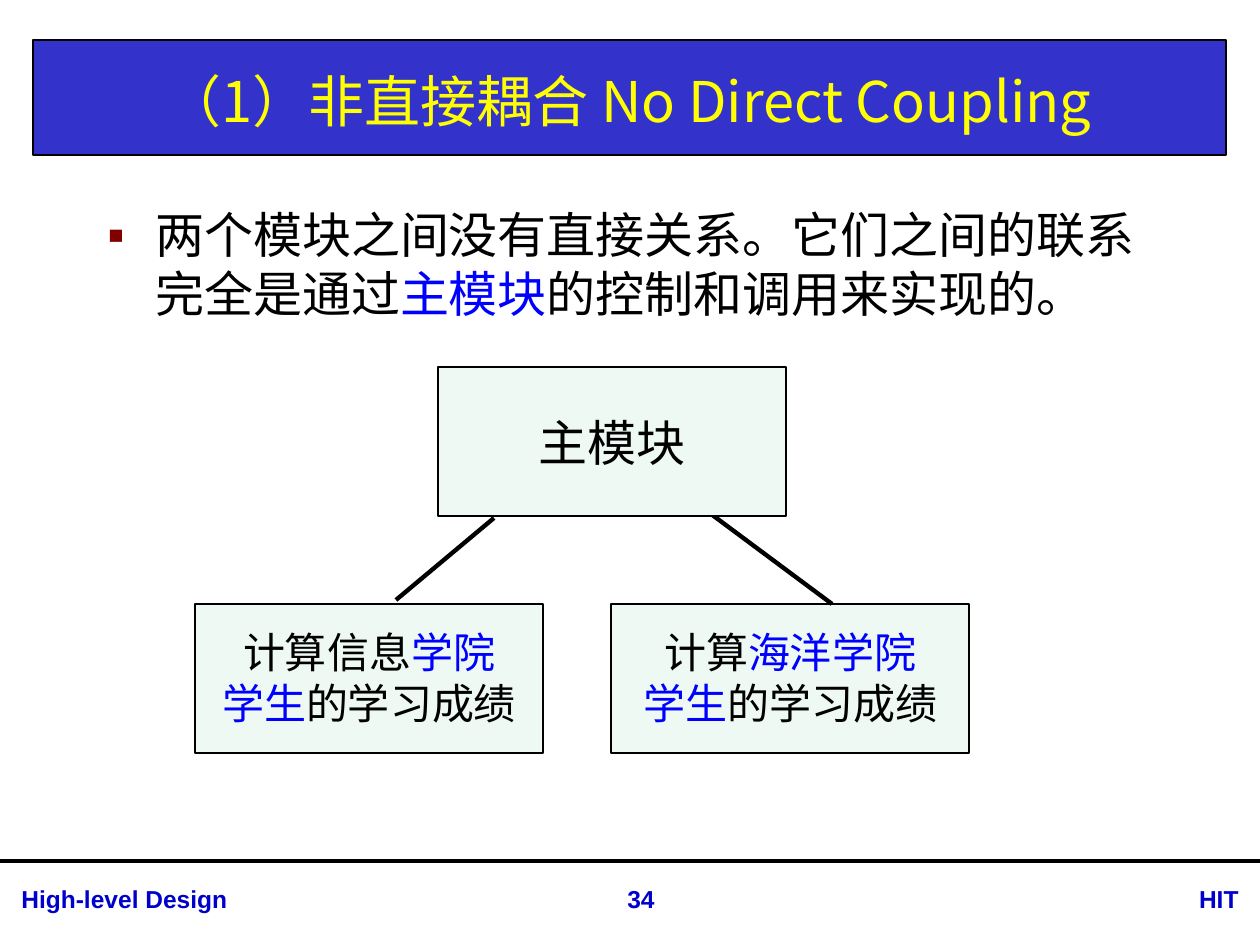
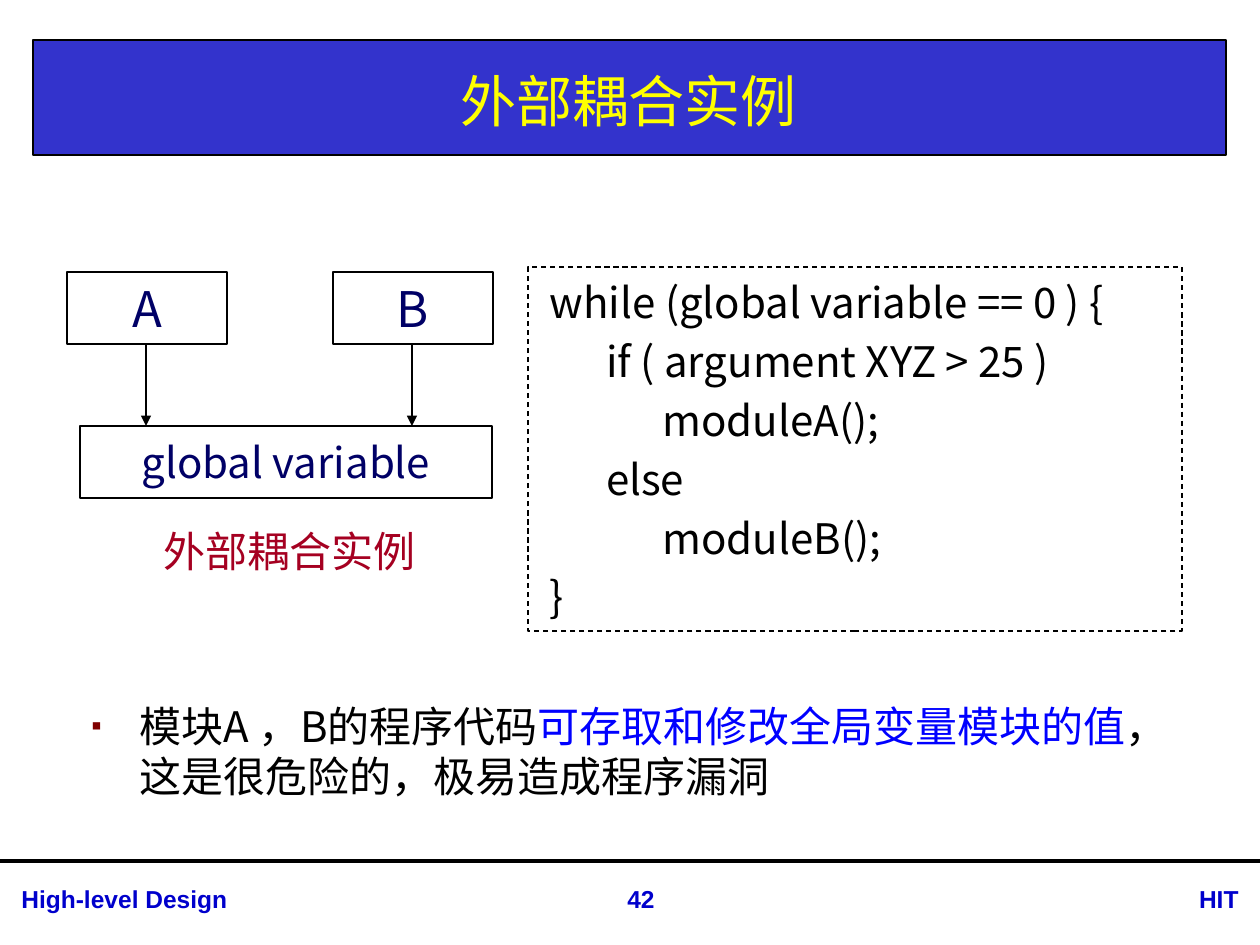
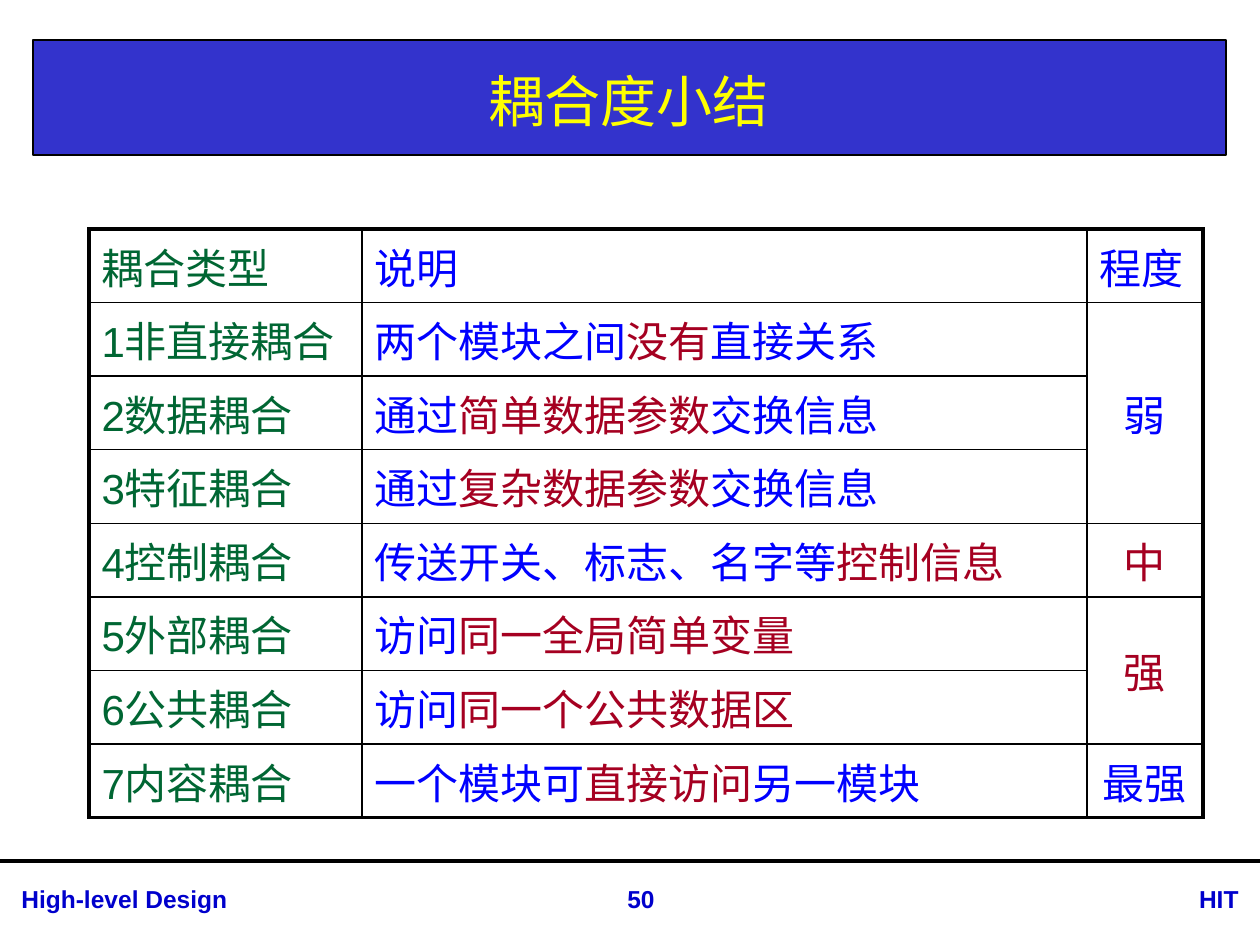
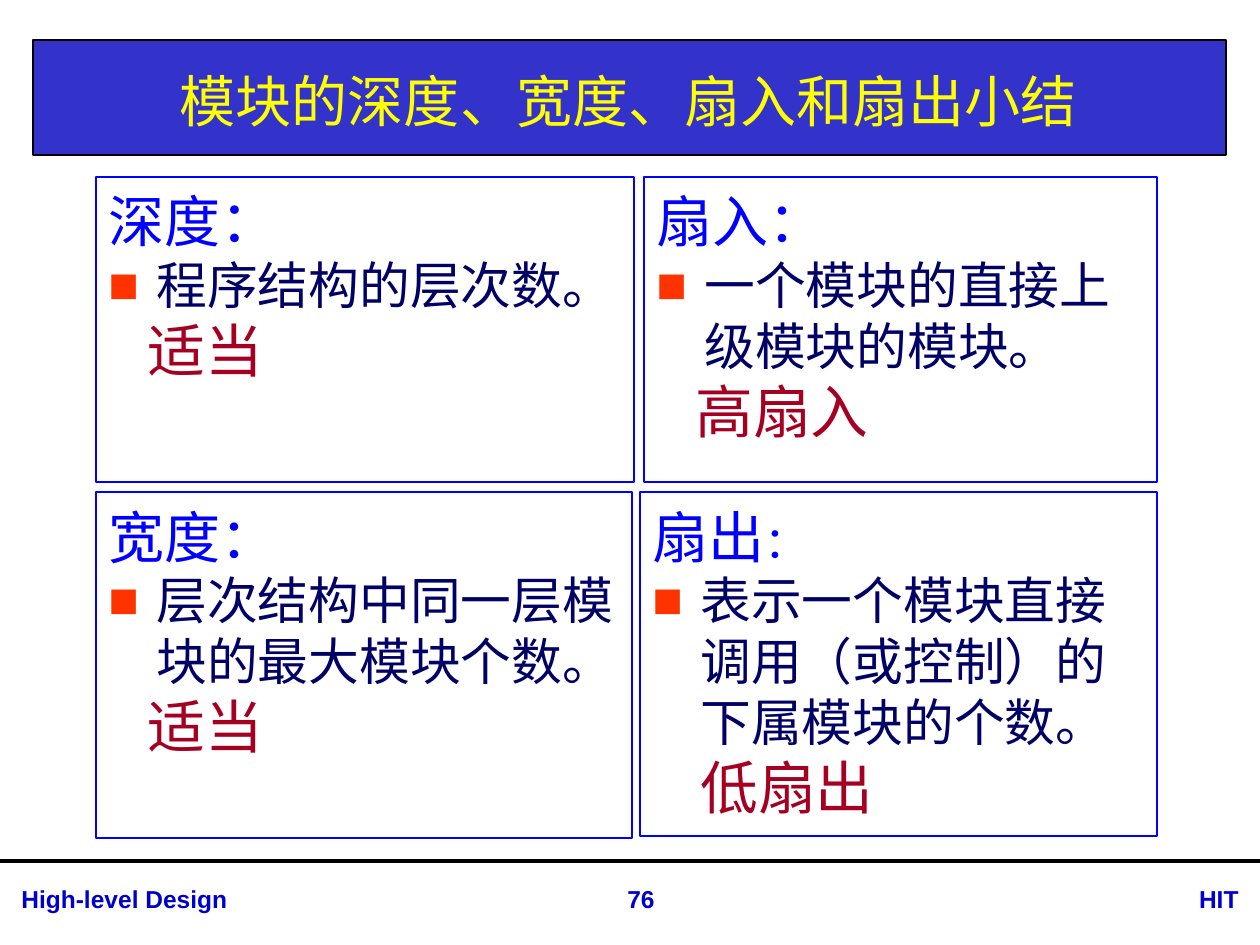
from dataclasses import dataclass, field

from lxml import etree
from pptx import Presentation
from pptx import util as u
from pptx.dml.color import RGBColor
from pptx.enum import dml, shapes, text
from pptx.oxml.ns import qn

PX = 914400 / 126
LEFT, CENTER, RIGHT = text.PP_ALIGN.LEFT, text.PP_ALIGN.CENTER, text.PP_ALIGN.RIGHT
TOP, MIDDLE = text.MSO_ANCHOR.TOP, text.MSO_ANCHOR.MIDDLE


def emu(px):
    return u.Emu(round(px * PX))


def child(parent, tag, **attributes):
    return etree.SubElement(parent, qn(tag), {k: str(v) for k, v in attributes.items()})


def set_format(target, **values):
    for name, value in values.items():
        setattr(target, name, value)


@dataclass(frozen=True)
class Theme:
    # colours
    black: str = "000000"
    band: str = "3333CC"
    title: str = "FFFF00"
    footer: str = "0000CC"
    blue: str = "0000FF"
    navy: str = "000066"
    red: str = "A50021"
    green: str = "006633"
    mint: str = "EEF9F4"
    small_bullet: str = "800000"
    block_bullet: str = "FF3300"
    # fonts and type sizes
    cjk: str = "Noto Sans CJK SC"
    latin: str = "Arial"
    title_size: int = 32
    lead_size: int = 28
    body_size: int = 24
    item_size: int = 29
    verdict_size: int = 33
    footer_size: int = 14
    # line widths and line pitch
    thin: float = 0.75
    inner: float = 1
    outer: float = 2.25
    link: float = 2.5
    pitch: float = 1.2


@dataclass
class Para:
    """Spans are (text, colour) or (text, colour, size)."""
    spans: list
    size: int
    font: str = Theme.cjk
    align: object = LEFT
    bold: bool = False
    margin: int = 0
    hanging: int = 0
    before: float = 0
    tight: bool = True
    bullet: dict = field(default_factory=dict)


class SlideMaker:
    def __init__(self, theme):
        self.theme = theme
        self.deck = Presentation()
        set_format(self.deck, slide_width=emu(1260), slide_height=emu(945))
        self.page = None

    # Shared frame: title band, rule and footers
    def start(self, title, number):
        t = self.theme
        self.page = self.deck.slides.add_slide(self.deck.slide_layouts[5])
        holder = self.page.shapes.title
        self.box((33, 40, 1193, 115), fill=t.band)
        self.line((0, 861), (1260, 861), t.outer)
        for left, width, words, align in (
            (9, 485, "High-level Design", LEFT),
            (1121, 130, "HIT", RIGHT),
            (576, 130, number, CENTER),
        ):
            self.label((left, 878, width, 43), [Para(
                [(words, t.footer)], t.footer_size, t.latin, align, bold=True, tight=False)])
        self.page.shapes.element.append(holder._element)
        self.place(holder, (33, 45, 1191, 110))
        self.fill_frame(holder.text_frame, [Para(
            [(title, t.title)], t.title_size, align=CENTER, tight=False)], MIDDLE)

    def place(self, shape, at):
        set_format(shape, **dict(zip(("left", "top", "width", "height"), map(emu, at))))

    def stroke(self, line, width, colour):
        line.color.rgb = RGBColor.from_string(colour)
        line.width = u.Pt(width)

    def box(self, at, paras=(), fill=None, line=Theme.black, width=Theme.thin,
            anchor=MIDDLE, dashed=False):
        shape = self.page.shapes.add_shape(shapes.MSO_SHAPE.RECTANGLE, *map(emu, at))
        shape.shadow.inherit = False
        if fill:
            shape.fill.solid()
            shape.fill.fore_color.rgb = RGBColor.from_string(fill)
        else:
            shape.fill.background()
        self.stroke(shape.line, width, line)
        if dashed:
            shape.line.dash_style = dml.MSO_LINE.DASH
        if paras:
            self.fill_frame(shape.text_frame, paras, anchor)

    def label(self, at, paras):
        box = self.page.shapes.add_textbox(*map(emu, at))
        self.fill_frame(box.text_frame, paras, TOP)

    def line(self, start, end, width, arrow=False):
        line = self.page.shapes.add_connector(
            shapes.MSO_CONNECTOR.STRAIGHT, *map(emu, (*start, *end)))
        self.stroke(line.line, width, self.theme.black)
        properties = line._element.spPr
        if arrow:
            child(properties.find(qn("a:ln")), "a:tailEnd", type="triangle")
        child(properties, "a:effectLst")

    def fill_frame(self, frame, paras, anchor):
        set_format(frame, word_wrap=True, auto_size=text.MSO_AUTO_SIZE.NONE,
                   vertical_anchor=anchor)
        if anchor == TOP and paras[0].tight:
            frame.margin_top = emu(10)
        for index, item in enumerate(paras):
            para = frame.add_paragraph() if index else frame.paragraphs[0]
            self.fill_para(para, item, index == 0)

    def fill_para(self, para, item, first=False):
        properties = para._p.get_or_add_pPr()
        if item.margin:
            properties.set("marL", str(emu(item.margin)))
            properties.set("indent", str(emu(-item.hanging)))
        if item.bullet:
            child(child(properties, "a:buClr"), "a:srgbClr", val=item.bullet["colour"])
            child(properties, "a:buSzPct", val=item.bullet.get("percent", 100) * 1000)
            child(properties, "a:buFont", typeface=self.theme.latin)
            child(properties, "a:buChar", char=item.bullet["char"])
        para.alignment = item.align
        if item.before and not first:
            para.space_before = u.Pt(item.before)
        if item.tight:
            para.line_spacing = u.Pt(round(item.size * self.theme.pitch, 1))
        for words, colour, *size in item.spans:
            span = para.add_run()
            span.text = words
            set_format(span.font, name=item.font, bold=item.bold,
                       size=u.Pt(size[0] if size else item.size))
            span.font.color.rgb = RGBColor.from_string(colour)
            latin = span._r.get_or_add_rPr().find(qn("a:latin"))
            latin.addnext(etree.Element(qn("a:ea"), typeface=self.theme.cjk))

    def table(self, at, widths, rows, row_height, merges):
        size = len(rows), len(widths)
        height = row_height * len(rows)
        table = self.page.shapes.add_table(
            *size, *map(emu, (*at, sum(widths), height))).table
        set_format(table, first_row=False, horz_banding=False)
        for column, width in zip(table.columns, widths):
            column.width = emu(width)
        for r, row in enumerate(rows):
            table.rows[r].height = emu(row_height)
            for c, item in enumerate(row):
                cell = table.cell(r, c)
                cell.fill.background()
                cell.vertical_anchor = MIDDLE
                if item:
                    self.fill_para(cell.text_frame.paragraphs[0], item, True)
                self.borders(cell, r, c, *size)
        for column, top, bottom in merges:
            table.cell(top, column).merge(table.cell(bottom, column))

    def borders(self, cell, r, c, row_count, column_count):
        t = self.theme
        edges = {"L": c == 0, "R": c == column_count - 1,
                 "T": r == 0, "B": r == row_count - 1}
        properties = cell._tc.get_or_add_tcPr()
        for index, (side, is_outer) in enumerate(edges.items()):
            width = u.Pt(t.outer if is_outer else t.inner)
            border = etree.Element(qn(f"a:ln{side}"), w=str(int(width)))
            child(child(border, "a:solidFill"), "a:srgbClr", val=t.black)
            properties.insert(index, border)


def no_direct_coupling(maker):
    t = maker.theme
    maker.start("（1）非直接耦合 No Direct Coupling", "34")
    maker.label((95, 195, 1091, 596), [Para(
        [("两个模块之间没有直接关系。它们之间的联系完全是通过", t.black),
         ("主模块", t.blue), ("的控制和调用来实现的。", t.black)],
        t.lead_size, margin=48, hanging=48,
        bullet={"char": "▪", "colour": t.small_bullet})])

    # Module tree
    leaves = (
        (195, 348, ("计算信息", "学院")),
        (611, 358, ("计算", "海洋学院")),
    )
    for left, width, _ in leaves:
        maker.box((left, 604, width, 149), fill=t.mint)
    maker.line((494, 518), (396, 600), t.link)
    maker.line((711, 514), (832, 604), t.link)
    for left, width, (verb, college) in leaves:
        lines = ([(verb, t.black), (college, t.blue)],
                 [("学生", t.blue), ("的学习成绩", t.black)])
        maker.label((left, 617, width, 115),
                    [Para(spans, t.body_size, align=CENTER) for spans in lines])
    maker.box((438, 367, 348, 149), [Para(
        [("主模块", t.black)], t.lead_size, align=CENTER, tight=False)], fill=t.mint)


def external_coupling(maker):
    t = maker.theme
    maker.start("外部耦合实例", "42")

    # Two modules sharing one variable
    for left, name, size, top, width in (
        (67, "A", t.lead_size, 272, 160),
        (333, "B", t.lead_size, 272, 160),
        (80, "global variable", t.body_size, 426, 412),
    ):
        maker.box((left, top, width, 72), [Para(
            [(name, t.navy)], size, align=CENTER, tight=False)])
    for x in (146, 412):
        maker.line((x, 344), (x, 426), t.thin, arrow=True)
    maker.label((52, 515, 476, 63), [Para(
        [("外部耦合实例", t.red)], t.body_size, align=CENTER)])

    # Code
    code = (
        " while (global variable == 0 ) {",
        "       if ( argument XYZ > 25 )",
        "             moduleA();",
        "       else",
        "             moduleB();",
        " }",
    )
    maker.box((528, 267, 654, 364), [
        Para([(line, t.black)], t.body_size, margin=48, hanging=48, before=4.8)
        for line in code], anchor=TOP, dashed=True)

    maker.label((79, 690, 1121, 105), [Para(
        [("模块A ，B的程序代码", t.black), ("可存取和修改全局变量模块的值", t.blue),
         ("，这是很危险的，极易造成程序漏洞", t.black)],
        t.body_size, margin=48, hanging=48,
        bullet={"char": "▪", "colour": t.small_bullet, "percent": 70})])


def coupling_summary(maker):
    t = maker.theme
    maker.start("耦合度小结", "50")

    # Kind, explanation (plain, stressed, plain), degree and its colour
    rows = (
        ("耦合类型", ("说明",), "程度", t.blue),
        ("1非直接耦合", ("两个模块之间", "没有", "直接关系"), "弱", t.blue),
        ("2数据耦合", ("通过", "简单数据参数", "交换信息"), None, None),
        ("3特征耦合", ("通过", "复杂数据参数", "交换信息"), None, None),
        ("4控制耦合", ("传送开关、标志、名字等", "控制信息"), "中", t.red),
        ("5外部耦合", ("访问", "同一全局简单变量"), "强", t.red),
        ("6公共耦合", ("访问", "同一个公共数据区"), None, None),
        ("7内容耦合", ("一个模块可", "直接访问", "另一模块"), "最强", t.blue),
    )

    def cell(spans, align=LEFT):
        return Para(spans, t.body_size, t.latin, align, tight=False)

    cells = []
    for index, (kind, parts, degree, colour) in enumerate(rows):
        cells.append((
            cell([(kind, t.green)]),
            cell(list(zip(parts, (t.blue, t.red, t.blue)))),
            degree and cell([(degree, colour)], CENTER if index else LEFT),
        ))
    maker.table((89, 229), (273, 725, 116), cells, 70, merges=((2, 1, 3), (2, 5, 6)))


def depth_and_fan(maker):
    t = maker.theme
    maker.start("模块的深度、宽度、扇入和扇出小结", "76")

    # Term, colon size, meaning, advice and its indent
    cards = (
        ((96, 177, 538, 305), "深度", 33, "程序结构的层次数。", "适当", 39),
        ((640, 492, 517, 344), "扇出", 25,
         "表示一个模块直接调用（或控制）的下属模块的个数。", "低扇出", 48),
        ((96, 492, 536, 346), "宽度", 32,
         "层次结构中同一层模块的最大模块个数。", "适当", 39),
        ((644, 177, 513, 305), "扇入", 32,
         "一个模块的直接上级模块的模块。", "高扇入", 39),
    )
    for at, term, colon_size, meaning, advice, indent in cards:
        maker.box(at, [
            Para([(term, t.blue), ("：", t.blue, colon_size)], t.title_size,
                 margin=48, hanging=48),
            Para([(meaning, t.navy)], t.item_size, margin=48, hanging=48,
                 bullet={"char": "■", "colour": t.block_bullet}),
            Para([(advice, t.red)], t.verdict_size, margin=indent),
        ], line=t.blue, width=t.inner, anchor=TOP)


def main():
    maker = SlideMaker(Theme())
    for build in (no_direct_coupling, external_coupling, coupling_summary, depth_and_fan):
        build(maker)
    maker.deck.save("out.pptx")


if __name__ == "__main__":
    main()
